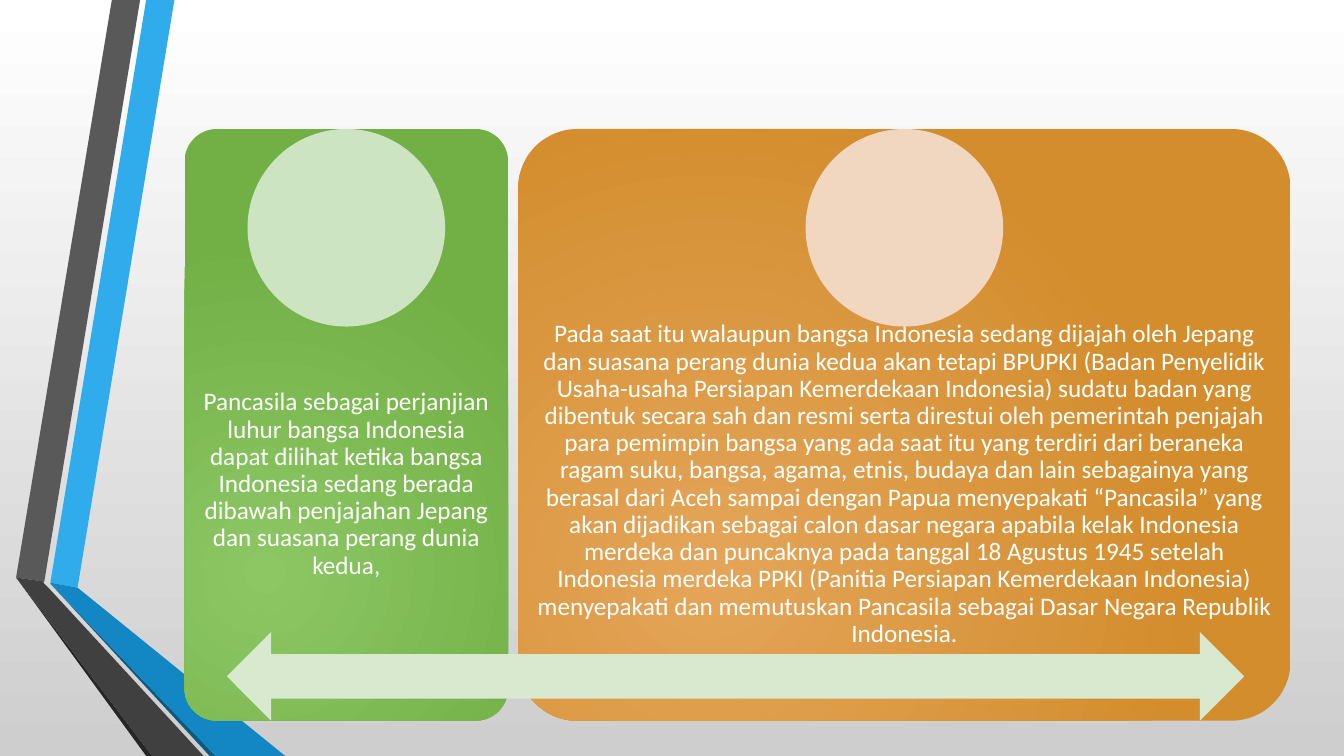
from lxml import etree
from pptx import Presentation
from pptx.dml.color import RGBColor
from pptx.enum.shapes import MSO_SHAPE
from pptx.enum.text import MSO_ANCHOR, PP_ALIGN
from pptx.oxml.ns import qn
from pptx.util import Inches, Pt

ROUND, OVAL = MSO_SHAPE.ROUNDED_RECTANGLE, MSO_SHAPE.OVAL
ARROW = MSO_SHAPE.LEFT_RIGHT_ARROW
MIDDLE, CENTER = MSO_ANCHOR.MIDDLE, PP_ALIGN.CENTER

WHITE = RGBColor(0xFF, 0xFF, 0xFF)
SILVER = RGBColor(0xCE, 0xCE, 0xCE)
SKY = RGBColor(0x30, 0xAC, 0xEC)
BLUE = RGBColor(0x12, 0x87, 0xC3)
NAVY = RGBColor(0x0C, 0x5A, 0x82)
GRAY = RGBColor(0x59, 0x59, 0x59)
DARK = RGBColor(0x40, 0x40, 0x40)
BLACK = RGBColor(0x26, 0x26, 0x26)
LIME = RGBColor(0x8C, 0xC7, 0x64)
GREEN = RGBColor(0x72, 0xAF, 0x45)
MINT = RGBColor(0xCD, 0xE4, 0xC2)
PALE = RGBColor(0xD8, 0xE9, 0xD0)
SAND = RGBColor(0xE4, 0xA5, 0x59)
OCHRE = RGBColor(0xD3, 0x8D, 0x2D)
PEACH = RGBColor(0xF1, 0xD6, 0xC0)

# Ribbon outlines, in hundredths of an inch
RIBBONS = [
    (SKY, [(50, 578), (77, 583), (173, 0), (145, 0)]),
    (GRAY, [(139, 0), (111, 0), (16, 573), (44, 577)]),
    (BLACK, [(16, 573), (145, 750), (151, 750)]),
    (NAVY, [(50, 579), (208, 750), (214, 750)]),
    (BLUE, [(50, 579), (214, 750), (283, 750), (77, 583), (50, 578)]),
    (DARK, [(202, 750), (48, 583), (43, 578), (44, 577), (16, 573),
            (151, 750)]),
]

# Cards: left, width, inner colour, outer colour, disc colour, text
CARDS = [
    (1.83, 3.21, LIME, GREEN, MINT,
     "Pancasila sebagai perjanjian luhur bangsa Indonesia dapat dilihat "
     "ketika bangsa Indonesia sedang berada dibawah penjajahan Jepang dan "
     "suasana perang dunia kedua,"),
    (5.14, 7.66, SAND, OCHRE, PEACH,
     "Pada saat itu walaupun bangsa Indonesia sedang dijajah oleh Jepang dan "
     "suasana perang dunia kedua akan tetapi BPUPKI (Badan Penyelidik "
     "Usaha-usaha Persiapan Kemerdekaan Indonesia) sudatu badan yang dibentuk "
     "secara sah dan resmi serta direstui oleh pemerintah penjajah para "
     "pemimpin bangsa yang ada saat itu yang terdiri dari beraneka ragam "
     "suku, bangsa, agama, etnis, budaya dan lain sebagainya yang berasal "
     "dari Aceh sampai dengan Papua menyepakati “Pancasila” yang akan "
     "dijadikan sebagai calon dasar negara apabila kelak Indonesia merdeka "
     "dan puncaknya pada tanggal 18 Agustus 1945 setelah Indonesia merdeka "
     "PPKI (Panitia Persiapan Kemerdekaan Indonesia) menyepakati dan "
     "memutuskan Pancasila sebagai Dasar Negara Republik Indonesia."),
]
TOP, HIGH, DISC = 1.28, 5.87, 1.96
TEXT_TOP, TEXT_HIGH, INSET = 3.63, 2.35, 0.14
GLOW = {"l": "50000", "t": "100000", "r": "100000", "b": "50000"}


def blend(fill, first, last):
    fill.gradient()
    for stop, color in zip(fill.gradient_stops, (first, last)):
        stop.color.rgb = color


def glow(shape):
    """Turn the linear gradient into a round one."""
    lin = shape.fill._xPr.find(".//" + qn("a:lin"))
    ring = etree.Element(qn("a:path"), {"path": "circle"})
    etree.SubElement(ring, qn("a:fillToRect"), GLOW)
    lin.getparent().replace(lin, ring)


def finish(shape, color=None):
    shape.shadow.inherit = False
    shape.line.fill.background()
    if color is not None:
        shape.fill.solid()
        shape.fill.fore_color.rgb = color


def add(kind, left, top, width, high, color=None):
    shape = shapes.add_shape(kind, Inches(left), Inches(top),
                             Inches(width), Inches(high))
    finish(shape, color)
    return shape


def write(left, width, text):
    box = shapes.add_textbox(Inches(left), Inches(TEXT_TOP),
                             Inches(width), Inches(TEXT_HIGH))
    frame = box.text_frame
    frame.word_wrap = True
    frame.vertical_anchor = MIDDLE
    frame.margin_left = frame.margin_right = Inches(INSET)
    frame.margin_top = frame.margin_bottom = Inches(INSET)
    para = frame.paragraphs[0]
    para.text = text
    para.alignment = CENTER
    para.line_spacing = 0.9
    para.font.name = "Calibri"
    para.font.size = Pt(18)
    para.font.color.rgb = WHITE


deck = Presentation()
deck.slide_width, deck.slide_height = Inches(13.33), Inches(7.5)
slide = deck.slides.add_slide(deck.slide_layouts[6])
shapes = slide.shapes

# Background, white fading down to silver
back = slide.background.fill
blend(back, WHITE, SILVER)
back.gradient_angle = 270

# Folded ribbons
for color, points in RIBBONS:
    pen = shapes.build_freeform(*points[0], scale=Inches(0.01))
    pen.add_line_segments(points[1:], close=True)
    finish(pen.convert_to_shape(), color)

# Cards, each with text and a centred disc
for left, width, inner, outer, tint, text in CARDS:
    card = add(ROUND, left, TOP, width, HIGH)
    card.adjustments[0] = 0.1
    blend(card.fill, inner, outer)
    glow(card)
    write(left, width, text)
    add(OVAL, left + (width - DISC) / 2, TOP, DISC, DISC, tint)

# Arrow across both cards
add(ARROW, 2.25, 6.27, 10.09, 0.88, PALE)

deck.save("out.pptx")
